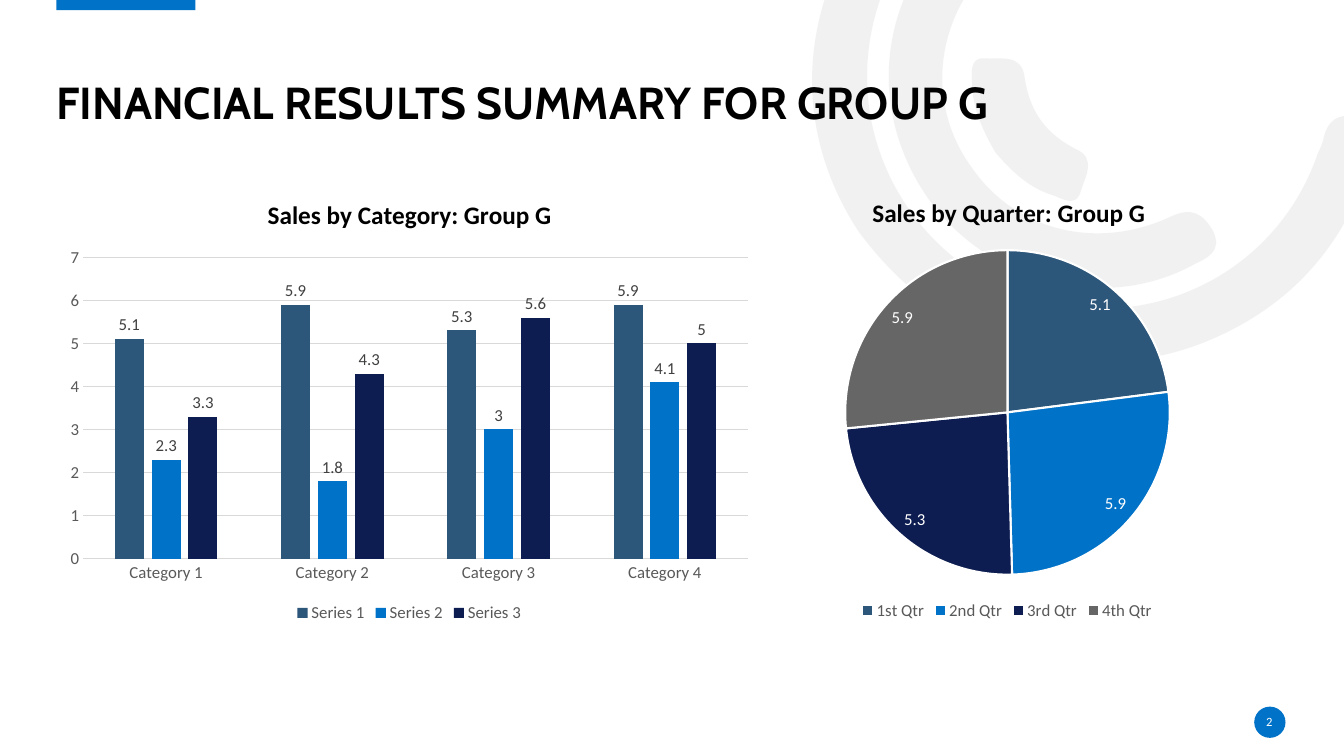
from math import cos, radians, sin
from lxml import etree
from pptx import Presentation
from pptx import util as u
from pptx.chart.data import CategoryChartData
from pptx.dml.color import RGBColor
from pptx.enum import chart as ch, shapes, text
from pptx.oxml.ns import qn

BLUES = ["2C567A", "0072C7", "0D1D51"]
GREY = "595959"
PALE = "D9D9D9"
SALES = [(5.1, 5.9, 5.3, 5.9), (2.3, 1.8, 3, 4.1), (3.3, 4.3, 5.6, 5)]
LAST = (5.7, 5.3, 5.4, 5)
TURN = 144.2

RINGS = [
    [(.51, 4.29), (-.01, 3.49, -.13, 2.5, .38, 1.5),
     (.9, .48, 1.76, -.03, 2.9, -.07), (3.05, -.07, 3.21, -.1, 3.31, .05),
     (3.44, .25, 3.27, .46, 2.98, .46), (1.67, .46, .65, 1.41, .6, 2.68),
     (.56, 3.81, 1.36, 4.81, 2.46, 5.02), (3.6, 5.24, 4.7, 4.61, 5.07, 3.52),
     (5.09, 3.48, 5.11, 3.44, 5.12, 3.4), (5.16, 3.19, 5.27, 3.11, 5.49, 3.17),
     (5.73, 3.24, 5.67, 3.41, 5.61, 3.56), (5.34, 4.45, 4.78, 5.07, 3.91, 5.41),
     (2.7, 5.87, 1.36, 5.45, .51, 4.29)],
    [(1.22, 3.99), (.62, 3.15, .69, 2.07, 1.4, 1.32),
     (1.51, 1.21, 1.62, 1.05, 1.8, 1.22), (1.95, 1.36, 1.97, 1.5, 1.79, 1.68),
     (1.25, 2.26, 1.2, 3.08, 1.65, 3.68), (2.08, 4.29, 2.88, 4.49, 3.61, 4.15),
     (3.82, 4.05, 3.93, 4.12, 4.03, 4.29), (4.13, 4.5, 3.97, 4.56, 3.83, 4.63),
     (2.96, 5.1, 1.83, 4.82, 1.22, 3.99)],
    [(1.87, 3.51), (1.75, 3.3, 1.64, 3.07, 1.64, 2.82),
     (1.64, 2.73, 1.61, 2.57, 1.76, 2.58), (1.92, 2.59, 2.13, 2.53, 2.16, 2.76),
     (2.21, 3.1, 2.36, 3.32, 2.67, 3.48), (2.88, 3.57, 2.76, 3.76, 2.72, 3.89),
     (2.68, 4.06, 2.55, 3.98, 2.45, 3.94), (2.21, 3.87, 2.03, 3.7, 1.87, 3.51)],
]

deck = Presentation()
deck.slide_width, deck.slide_height = u.Inches(13.33), u.Inches(7.5)


def share(x, y, w, h):
    wide, high = deck.slide_width / 100, deck.slide_height / 100
    return [round(v) for v in (x * wide, y * high, w * wide, h * high)]


def paint(part, color):
    part.fill.solid()
    part.fill.fore_color.rgb = RGBColor.from_string(color)


def style(font, size, color, bold=False, face="Calibri"):
    font.name, font.size, font.bold = face, u.Pt(size), bold
    font.color.rgb = RGBColor.from_string(color)


def rule(line, color, width):
    line.color.rgb = RGBColor.from_string(color)
    line.width = u.Pt(width)


def plain(shape, color):
    shape.shadow.inherit = False
    shape.line.fill.background()
    paint(shape, color)


def write(slide, box, words, anchor):
    frame = slide.shapes.add_textbox(*box).text_frame
    frame.word_wrap = True
    frame.vertical_anchor = anchor
    frame.margin_left = frame.margin_right = 0
    frame.margin_top = frame.margin_bottom = 0
    para = frame.paragraphs[0]
    para.text = words
    return para


def spin(x, y, angle):
    c, s = cos(radians(angle)), sin(radians(angle))
    return x * c - y * s, x * s + y * c


def bend(ring, curves):
    left, top = ring.left, ring.top
    for line, curve in zip(list(ring._element.iter(qn("a:lnTo"))), curves):
        cubic = etree.Element(qn("a:cubicBezTo"))
        for x, y in curve:
            etree.SubElement(cubic, qn("a:pt"), x=str(round(x - left)), y=str(round(y - top)))
        line.getparent().replace(line, cubic)


def motif(slide, box):
    left, top, wide, _ = box
    unit = wide / 6

    def spot(x, y):
        return spin(left + x * unit, top + y * unit, -TURN)

    for first, *rest in RINGS:
        curves = [[spot(*c[n:n + 2]) for n in (0, 2, 4)] for c in rest]
        pen = slide.shapes.build_freeform(*spot(*first))
        pen.add_line_segments([c[-1] for c in curves], close=True)
        ring = pen.convert_to_shape()
        bend(ring, curves)
        x, y = spin(ring.left + ring.width / 2, ring.top + ring.height / 2, TURN)
        ring.left, ring.top = round(x - ring.width / 2), round(y - ring.height / 2)
        ring.rotation = TURN
        plain(ring, "E7E6E6")
        tint = ring._element.spPr.find(qn("a:solidFill"))[0]
        etree.SubElement(tint, qn("a:alpha"), val="53000")


def block(slide, box, kind):
    plain(slide.shapes.add_shape(kind, *box), BLUES[1])


def page(slide, box):
    para = write(slide, box, "2", text.MSO_ANCHOR.MIDDLE)
    para.alignment = text.PP_ALIGN.CENTER
    style(para.font, 9, "FFFFFF")


def head(slide, box):
    para = write(slide, box, "FINANCIAL RESULTS SUMMARY FOR GROUP G", text.MSO_ANCHOR.BOTTOM)
    para.line_spacing = .9
    style(para.font, 32, "000000", True, "Cabin")


def layout(owner, inner, *shares):
    old = owner.find(qn("c:layout"))
    if old is not None:
        owner.remove(old)
    new = etree.Element(qn("c:layout"))
    words = owner.find(qn("c:tx"))
    if words is None:
        owner.insert(0, new)
    else:
        words.addnext(new)
    hand = etree.SubElement(new, qn("c:manualLayout"))
    if inner:
        etree.SubElement(hand, qn("c:layoutTarget"), val="inner")
    for side in "xy":
        etree.SubElement(hand, qn(f"c:{side}Mode"), val="edge")
    for side, value in zip("xywh", shares):
        etree.SubElement(hand, qn(f"c:{side}"), val=str(round(value / 100, 4)))


def graph(slide, box, kind, title, names, rows, area, color, spot):
    data = CategoryChartData()
    data.categories = names
    for n, row in enumerate(rows, 1):
        data.add_series(f"Series {n}", row)
    chart = slide.shapes.add_chart(kind, *box, data).chart
    chart.replace_data(data)
    style(chart.font, 10, "000000")
    chart.has_title = True
    para = chart.chart_title.text_frame.paragraphs[0]
    para.text = title
    style(para.font, 18, "000000", True)
    chart.chart_title.include_in_layout = False
    layout(chart.chart_title._element, False, 29.3, 3.2)
    layout(chart._chartSpace.chart.plotArea, True, *area)
    chart.has_legend = True
    chart.legend.position = ch.XL_LEGEND_POSITION.BOTTOM
    chart.legend.include_in_layout = False
    style(chart.legend.font, 12, GREY)
    plot = chart.plots[0]
    for series in plot.series:
        labels = series.data_labels
        labels.show_value = True
        labels.position = spot
        style(labels.font, 12, color)
    return chart, plot


def bars(slide, box):
    chart, plot = graph(
        slide, box, ch.XL_CHART_TYPE.COLUMN_CLUSTERED, "Sales by Category: Group G",
        [f"Category {n}" for n in range(1, 5)], SALES,
        (3.77, 17.6, 94.25, 67.2), "404040", ch.XL_LABEL_POSITION.OUTSIDE_END)
    plot.vary_by_categories = False
    plot.gap_width, plot.overlap = 219, -27
    for series, color in zip(plot.series, BLUES):
        paint(series.format, color)
    for axis in (chart.category_axis, chart.value_axis):
        axis.major_tick_mark = axis.minor_tick_mark = ch.XL_TICK_MARK.NONE
        style(axis.tick_labels.font, 12, GREY)
    rule(chart.category_axis.format.line, PALE, .75)
    values = chart.value_axis
    values.minimum_scale, values.maximum_scale, values.major_unit = 0, 7, 1
    values.format.line.fill.background()
    rule(values.major_gridlines.format.line, PALE, .75)


def pie(slide, box):
    _, plot = graph(
        slide, box, ch.XL_CHART_TYPE.PIE, "Sales by Quarter: Group G",
        ["1st Qtr", "2nd Qtr", "3rd Qtr", "4th Qtr"], SALES + [LAST],
        (25.94, 16.4, 48.2, 72.5), "FFFFFF", ch.XL_LABEL_POSITION.INSIDE_END)
    plot.vary_by_categories = True
    for series in plot.series:
        for n, color in enumerate(BLUES + ["666666"]):
            wedge = series.points[n].format
            paint(wedge, color)
            rule(wedge.line, "FFFFFF", 1.5)


def main():
    slide = deck.slides.add_slide(deck.slide_layouts[6])
    motif(slide, share(60.02, -26.67, 45.01, 80))
    block(slide, share(4.2, -.27, 10.35, 1.6), shapes.MSO_SHAPE.RECTANGLE)
    block(slide, share(93.32, 93.47, 2.33, 4.13), shapes.MSO_SHAPE.OVAL)
    head(slide, share(4.2, 3.6, 91.45, 13.47))
    bars(slide, share(4.2, 23.6, 52.5, 59.33))
    pie(slide, share(49.89, 23.33, 50.11, 59.33))
    page(slide, share(93.25, 94.13, 2.4, 2.67))
    deck.save("out.pptx")


if __name__ == "__main__":
    main()
